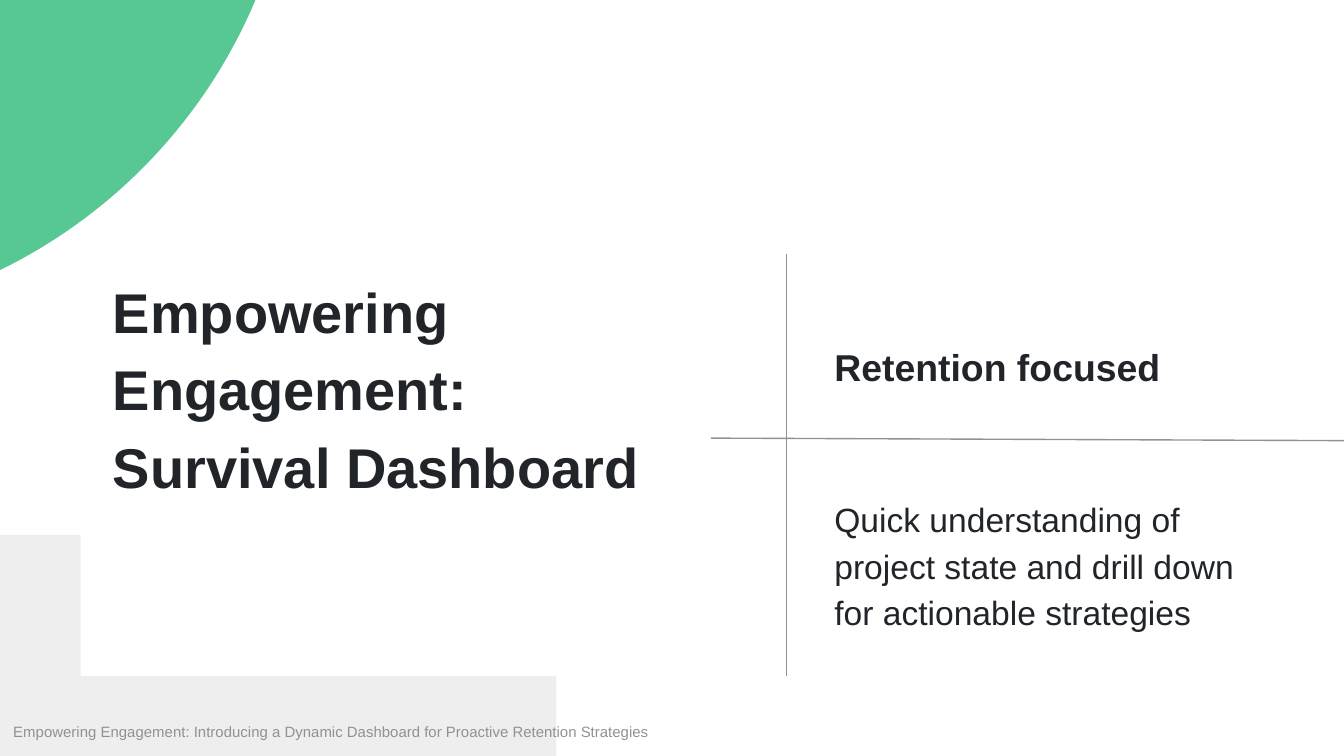
from lxml import etree
from pptx import Presentation
from pptx.dml.color import RGBColor
from pptx.enum.shapes import MSO_CONNECTOR, MSO_SHAPE
from pptx.enum.text import MSO_ANCHOR, MSO_AUTO_SIZE, PP_ALIGN
from pptx.oxml.ns import qn
from pptx.util import Inches, Pt

RECT, OVAL = MSO_SHAPE.RECTANGLE, MSO_SHAPE.OVAL
STRAIGHT = MSO_CONNECTOR.STRAIGHT
TOP, LEFT, GROW = MSO_ANCHOR.TOP, PP_ALIGN.LEFT, MSO_AUTO_SIZE.SHAPE_TO_FIT_TEXT

INK = RGBColor(0x21, 0x25, 0x29)
GRAY = RGBColor(0x91, 0x91, 0x91)
PALE = RGBColor(0xEE, 0xEE, 0xEE)
GREEN = RGBColor(0x11, 0xB1, 0x66)

TITLE = ("Empowering Engagement: Survival Dashboard", (0.74, 1.89, 4.4, 1.87), 30, True, INK, 1.15, 6)
TEXTS = [
    ("Retention focused", (6.11, 2.41, 3.42, 0.54), 20, True, INK, 1.15, 6),
    ("Quick understanding of project state and drill down for actionable strategies",
     (6.11, 3.57, 3.42, 1.2), 18, False, INK, 1.15, 6),
    ("Empowering Engagement: Introducing a Dynamic Dashboard for Proactive Retention Strategies",
     (0, 5.31, 7.72, 0.34), 8, False, GRAY, 1.0, 0),
]
SHAPES = [
    (RECT, (0, 3.98, 0.6, 1.65), PALE, None),
    (RECT, (0, 5.03, 4.14, 0.6), PALE, None),
    (OVAL, (-5.67, -5.47, 7.88, 7.88), GREEN, 70),
]
LINES = [(5.29, 3.26, 10.34, 3.28), (5.85, 1.89, 5.85, 5.03)]


def inches(values):
    return [Inches(v) for v in values]


def write(sp, text, size, bold, color, spacing, after):
    tf = sp.text_frame
    tf.text = text
    tf.word_wrap = True
    tf.auto_size = GROW
    tf.vertical_anchor = TOP
    tf.margin_left = tf.margin_right = tf.margin_top = tf.margin_bottom = Inches(0.1)
    p = tf.paragraphs[0]
    p.alignment = LEFT
    p.line_spacing = spacing
    p.space_after = Pt(after)
    font = p.runs[0].font
    font.name, font.size, font.bold = "Arial", Pt(size), bold
    font.color.rgb = color


def add_fill(s, kind, box, color, alpha):
    sp = s.shapes.add_shape(kind, *inches(box))
    sp.shadow.inherit = False
    sp.fill.solid()
    sp.fill.fore_color.rgb = color
    sp.line.fill.background()
    if alpha:
        clr = sp._element.spPr.find(".//" + qn("a:srgbClr"))
        etree.SubElement(clr, qn("a:alpha")).set("val", str(alpha * 1000))


def add_line(s, ends):
    line = s.shapes.add_connector(STRAIGHT, *inches(ends))
    line.line.color.rgb = GRAY
    line.line.width = Pt(0.75)
    etree.SubElement(line._element.spPr, qn("a:effectLst"))


prs = Presentation()
prs.slide_width = Inches(10)
prs.slide_height = prs.slide_width * 9 // 16
s = prs.slides.add_slide(prs.slide_layouts[5])

for shape in SHAPES:
    add_fill(s, *shape)
for ends in LINES:
    add_line(s, ends)

text, box, *style = TITLE
title = s.shapes.title
title.left, title.top, title.width, title.height = inches(box)
write(title, text, *style)

for text, box, *style in TEXTS:
    write(s.shapes.add_textbox(*inches(box)), text, *style)

prs.save("out.pptx")
